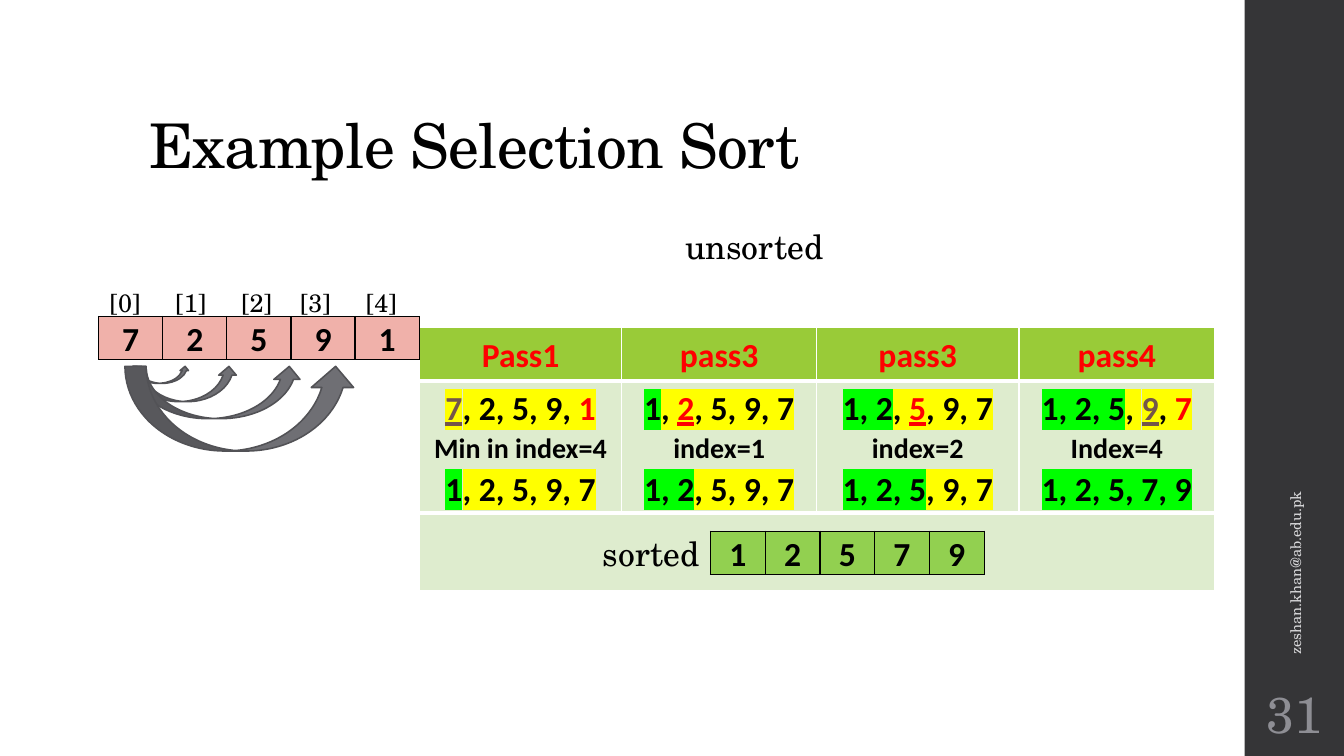
from dataclasses import dataclass

from lxml.etree import SubElement
from pptx import Presentation
from pptx.dml.color import RGBColor
from pptx.enum.shapes import MSO_SHAPE
from pptx.enum.text import MSO_ANCHOR, PP_ALIGN
from pptx.oxml import parse_xml
from pptx.oxml.ns import nsdecls, qn
from pptx.util import Pt


@dataclass(frozen=True)
class Theme:
    """Colours, fonts and type sizes of the slide."""
    serif: str = "TeX Gyre Schola"
    sans: str = "Calibri"
    black: str = "000000"
    white: str = "FFFFFF"
    red: str = "FF0000"
    brown: str = "74564A"
    done: str = "00FF00"
    pending: str = "FFFF00"
    sidebar: str = "353537"
    number: str = "8E8E94"
    email: str = "D9D9DB"
    header: str = "99CB38"
    body: str = "DEECCE"
    unsorted: str = "F0B1AA"
    sorted: str = "92D050"
    arrow: str = "6F6F74"
    arrow_line: str = "525256"
    title_size: float = 44
    number_size: float = 36
    large: float = 24
    medium: float = 20
    small: float = 18
    tiny: float = 10.5


THEME = Theme()
DONE, PENDING = THEME.done, THEME.pending
RED, BROWN, BLACK = THEME.red, THEME.brown, THEME.black

# Each run holds text, highlight, colour and underline.
PASSES = [
    ("Pass1",
     [("7", PENDING, BROWN, True), (", 2, 5, 9, ", PENDING, BLACK, False), ("1", PENDING, RED, False)],
     "Min in index=4",
     [("1", DONE, BLACK, False), (", 2, 5, 9, 7", PENDING, BLACK, False)]),
    ("pass3",
     [("1", DONE, BLACK, False), (", ", PENDING, BLACK, False), ("2", PENDING, RED, True),
      (", 5, 9, 7", PENDING, BLACK, False)],
     "index=1",
     [("1, 2", DONE, BLACK, False), (", 5, 9, 7", PENDING, BLACK, False)]),
    ("pass3",
     [("1, 2", DONE, BLACK, False), (", ", PENDING, BLACK, False), ("5", PENDING, RED, True),
      (", 9, 7", PENDING, BLACK, False)],
     "index=2",
     [("1, 2, 5", DONE, BLACK, False), (", 9, 7", PENDING, BLACK, False)]),
    ("pass4",
     [("1, 2, 5", DONE, BLACK, False), (", ", PENDING, BLACK, False), ("9", PENDING, BROWN, True),
      (", ", PENDING, BLACK, False), ("7", PENDING, RED, False)],
     "Index=4",
     [("1, 2, 5, 7, 9", DONE, BLACK, False)]),
]


def colour(value):
    """Turn a hex string into a colour."""
    return RGBColor.from_string(value)


def add_text(slide, box, text, size, fill=THEME.black, anchor=MSO_ANCHOR.TOP, align=PP_ALIGN.LEFT):
    """Add a one-paragraph serif text box and return it."""
    shape = slide.shapes.add_textbox(*map(Pt, box))
    frame = shape.text_frame
    frame.word_wrap = True
    frame.vertical_anchor = anchor
    paragraph = frame.paragraphs[0]
    paragraph.text = text
    paragraph.alignment = align
    font = paragraph.font
    font.name, font.size = THEME.serif, Pt(size)
    font.color.rgb = colour(fill)
    return shape


def add_filled_shape(slide, kind, box, fill, line=None):
    """Add a preset shape with a flat fill and an optional outline."""
    shape = slide.shapes.add_shape(kind, *map(Pt, box))
    shape.shadow.inherit = False
    shape.fill.solid()
    shape.fill.fore_color.rgb = colour(fill)
    if line:
        shape.line.color.rgb = colour(line)
        shape.line.width = Pt(1.1)
    else:
        shape.line.fill.background()


def add_plain_table(slide, left, top, widths, heights):
    """Add a table without header or banding and return it."""
    frame = slide.shapes.add_table(
        len(heights), len(widths), Pt(left), Pt(top), Pt(sum(widths)), Pt(sum(heights)))
    table = frame.table
    table.first_row = table.horz_banding = False
    for column, width in zip(table.columns, widths):
        column.width = Pt(width)
    for row, height in zip(table.rows, heights):
        row.height = Pt(height)
    return table


def style_cell(cell, fill, border, top=1, bottom=1):
    """Fill a cell and draw its four borders."""
    cell.fill.solid()
    cell.fill.fore_color.rgb = colour(fill)
    properties = cell._tc.get_or_add_tcPr()
    sides = [("lnL", 1), ("lnR", 1), ("lnT", top), ("lnB", bottom)]
    for index, (side, width) in enumerate(sides):
        properties.insert(index, parse_xml(
            f'<a:{side} {nsdecls("a")} w="{Pt(width)}"><a:solidFill>'
            f'<a:srgbClr val="{border}"/></a:solidFill></a:{side}>'))


def write_runs(paragraph, runs, size=THEME.large):
    """Write centred bold runs with their colours and highlights."""
    paragraph.alignment = PP_ALIGN.CENTER
    paragraph.line_spacing = 1.07
    font = paragraph.font
    font.name, font.size, font.bold = THEME.sans, Pt(size), True
    for text, highlight, fill, underline in runs:
        run = paragraph.add_run()
        run.text = text
        run.font.color.rgb = colour(fill)
        if underline:
            run.font.underline = True
        if highlight:
            run._r.get_or_add_rPr().find(qn("a:solidFill")).addnext(parse_xml(
                f'<a:highlight {nsdecls("a")}><a:srgbClr val="{highlight}"/></a:highlight>'))


def add_pass_table(slide):
    """Add the table that follows the sort pass by pass."""
    table = add_plain_table(slide, 299.5, 234, [144.7, 139, 144.7, 139.7], [37.4, 94.3, 55.4])
    for column, (heading, before, note, after) in enumerate(PASSES):
        head, body, foot = (table.cell(row, column) for row in range(3))
        style_cell(head, THEME.header, THEME.white, bottom=3)
        style_cell(body, THEME.body, THEME.white, top=3, bottom=3)
        style_cell(foot, THEME.body, THEME.white, top=3)
        write_runs(head.text_frame.paragraphs[0], [(heading, None, RED, False)])
        frame = body.text_frame
        write_runs(frame.paragraphs[0], before)
        write_runs(frame.add_paragraph(), [(note, None, BLACK, False)], THEME.medium)
        write_runs(frame.add_paragraph(), after)
    table.cell(2, 0).merge(table.cell(2, 3))


def add_array(slide, left, top, width, values, fill):
    """Add a one-row table that shows an array."""
    table = add_plain_table(slide, left, top, [width] * len(values), [28.4])
    for cell, value in zip(table.rows[0].cells, values):
        style_cell(cell, fill, THEME.black)
        cell.margin_left = cell.margin_right = Pt(5)
        cell.margin_top = cell.margin_bottom = 0
        write_runs(cell.text_frame.paragraphs[0], [(str(value), None, BLACK, False)])


def add_index_labels(slide, box, stops):
    """Add the array indices, set apart by tab stops."""
    text = "\t".join(f"[{index}]" for index in range(len(stops) + 1))
    paragraph = add_text(slide, box, text, THEME.small).text_frame.paragraphs[0]
    tabs = parse_xml(f'<a:tabLst {nsdecls("a")}/>')
    for stop in stops:
        SubElement(tabs, qn("a:tab"), pos=str(Pt(stop)), algn="l")
    paragraph._p.get_or_add_pPr().find(qn("a:defRPr")).addprevious(tabs)


def main():
    """Build the slide and save it."""
    presentation = Presentation()
    presentation.slide_width, presentation.slide_height = Pt(960), Pt(540)
    slide = presentation.slides.add_slide(presentation.slide_layouts[6])
    add_filled_shape(slide, MSO_SHAPE.RECTANGLE, (889, 0, 72, 540), THEME.sidebar)
    title = add_text(slide, (99.4, 28.8, 763.2, 104.4), "Example Selection Sort",
                     THEME.title_size, anchor=MSO_ANCHOR.BOTTOM).text_frame.paragraphs[0]
    title.line_spacing = 0.9
    title.runs[0]._r.get_or_add_rPr().set("spc", "-50")
    add_text(slide, (889, 486, 72, 46.8), "31", THEME.number_size, THEME.number,
             MSO_ANCHOR.MIDDLE, PP_ALIGN.CENTER)
    add_pass_table(slide)
    add_array(slide, 70.5, 226, 45.8, [7, 2, 5, 9, 1], THEME.unsorted)
    add_array(slide, 507.5, 379.5, 39.1, [1, 2, 5, 7, 9], THEME.sorted)
    add_text(slide, (482.4, 157.7, 124.6, 36), "unsorted", THEME.large)
    add_text(slide, (423.4, 377.3, 89.3, 36), "sorted", THEME.large)
    add_index_labels(slide, (71.3, 201.6, 268.6, 28.8), [47, 94, 136, 183])
    for left, width, height in [(95, 40.3, 12.2), (95, 74.9, 25.2), (95, 121, 37.4), (89.3, 165.6, 60.5)]:
        add_filled_shape(slide, MSO_SHAPE.CURVED_UP_ARROW, (left, 261.7, width, height),
                         THEME.arrow, THEME.arrow_line)
    email = add_text(slide, (784.1, 319, 282.2, 28.8), "zeshan.khan@ab.edu.pk",
                     THEME.tiny, THEME.email, MSO_ANCHOR.MIDDLE)
    email.rotation = 270
    presentation.save("out.pptx")


if __name__ == "__main__":
    main()
